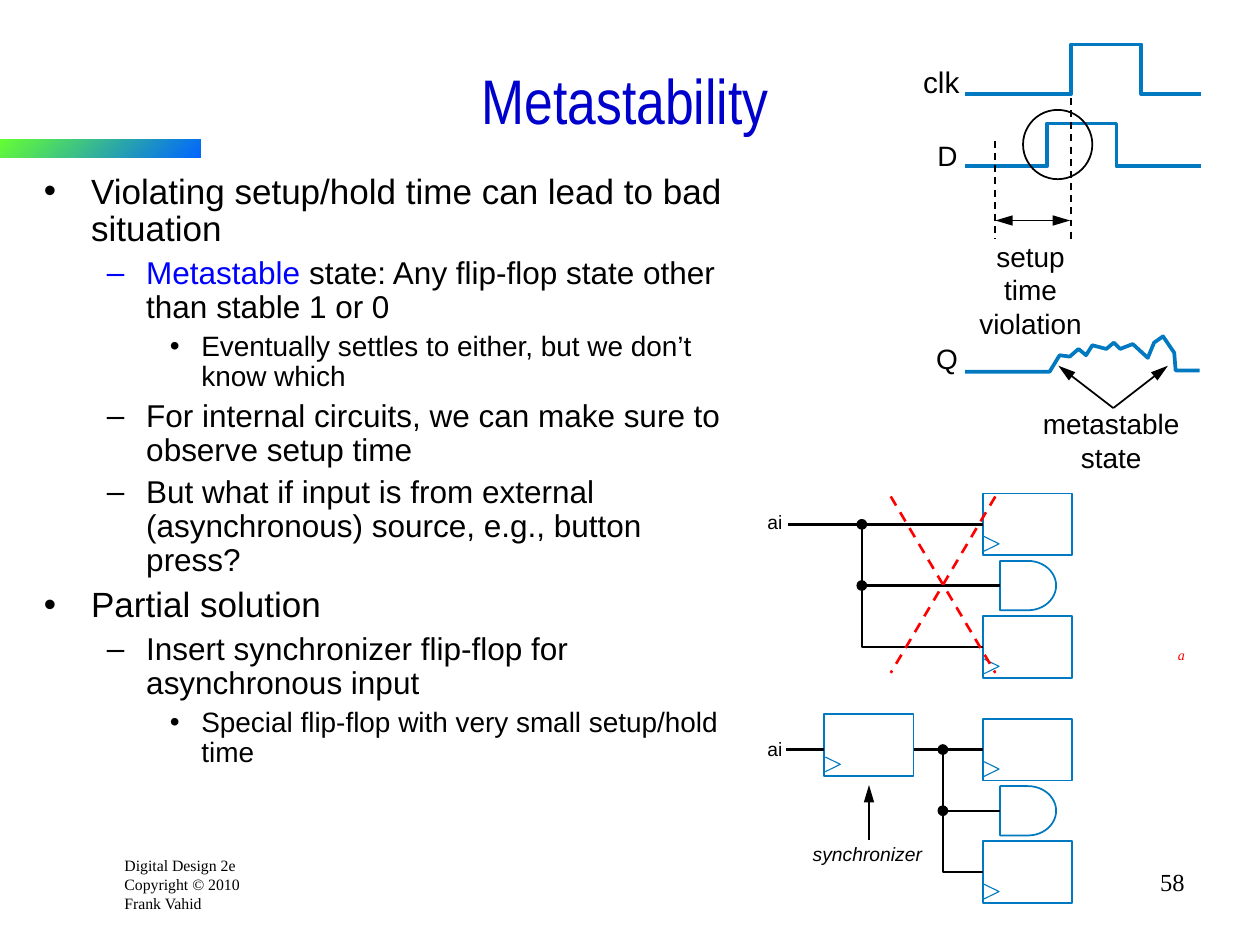
from dataclasses import dataclass

from lxml import etree
from pptx import Presentation
from pptx.dml.color import RGBColor
from pptx.enum.dml import MSO_LINE
from pptx.enum.shapes import MSO_CONNECTOR, MSO_SHAPE
from pptx.enum.text import MSO_ANCHOR, MSO_AUTO_SIZE, PP_ALIGN
from pptx.oxml.ns import qn
from pptx.util import Pt

DASH = MSO_LINE.DASH
STRAIGHT = MSO_CONNECTOR.STRAIGHT
RECTANGLE, OVAL, GATE = MSO_SHAPE.RECTANGLE, MSO_SHAPE.OVAL, MSO_SHAPE.FLOWCHART_DELAY
LEFT, CENTER, RIGHT = PP_ALIGN.LEFT, PP_ALIGN.CENTER, PP_ALIGN.RIGHT
MIDDLE = MSO_ANCHOR.MIDDLE
NO_AUTOFIT = MSO_AUTO_SIZE.NONE

BLACK, WHITE, RED, BLUE, SIGNAL = "000000", "FFFFFF", "FF0000", "0000FF", "0079C1"
SANS, SERIF = "Arial", "Times New Roman"
LEFT_SIDE = 1
WIRE = 1.39
REGISTER_WIDTH, REGISTER_HEIGHT = 51.1, 35.3
REGISTER_X, GATE_X = 561.6, 571.5
GATE_WIDTH, GATE_HEIGHT = 32, 28.2
REGISTER_PITCH, GATE_OFFSET = 70, 38.5


@dataclass
class Level:
    size: float
    margin: float
    indent: float
    before: float
    bullet: str


@dataclass
class Bullet:
    level: int
    text: str
    lead: str = ""


@dataclass
class Label:
    text: str
    left: float
    top: float
    width: float
    height: float
    size: float = 16
    font: str = SANS
    color: str = BLACK
    italic: bool = False
    align: int = LEFT
    inset: tuple = (0, 0)
    wrap: bool = False


LEVELS = [
    Level(20, 27, -27, 5, "•"),
    Level(18, 58.5, -22.5, 4.5, "–"),
    Level(16, 90, -18, 4, "•"),
]
BULLETS = [
    Bullet(0, "Violating setup/hold time can lead to bad situation"),
    Bullet(1, " state: Any flip-flop state other than stable 1 or 0", "Metastable"),
    Bullet(2, "Eventually settles to either, but we don’t know which"),
    Bullet(1, "For internal circuits, we can make sure to observe setup time"),
    Bullet(1, "But what if input is from external (asynchronous) source, e.g., button press?"),
    Bullet(0, "Partial solution"),
    Bullet(1, "Insert synchronizer flip-flop for asynchronous input"),
    Bullet(2, "Special flip-flop with very small setup/hold time"),
]
LABELS = [
    Label("Digital Design 2e\nCopyright © 2010\nFrank Vahid", 64, 485.3, 90, 39.6,
          size=9, font=SERIF, inset=(7.2, 3.6)),
    Label("58", 534.2, 491.8, 149.8, 36, size=14, font=SERIF, align=RIGHT,
          inset=(7.2, 3.6), wrap=True),
    Label("a", 666, 365.8, 18, 17.3, size=8, font=SERIF, color=RED, italic=True,
          inset=(7.2, 3.6)),
    Label("clk", 527.5, 36.3, 21.5, 20, size=17),
    Label("D", 535.7, 79.2, 11.5, 19.4),
    Label("Q", 535, 195.1, 12.2, 19.4),
    Label("setup time\nviolation", 552.2, 136.8, 73.4, 38, align=CENTER),
    Label("metastable\nstate", 595.4, 232.3, 79.2, 38, align=CENTER),
    Label("ai", 438.5, 291.6, 8.6, 13),
    Label("ai", 438.5, 421.2, 8.6, 13),
    Label("synchronizer", 464.4, 481, 64, 13, italic=True),
]
for label in LABELS[-3:]:
    label.size = 11

CLOCK = [(686, 53.8), (652.2, 53.8), (652.2, 25.4), (612, 25.4), (612, 53.8), (551.5, 53.8)]
DATA = [(686, 95), (638, 95), (638, 70.6), (598.3, 70.6), (598.3, 95), (551.5, 95)]
OUTPUT = [
    (551.5, 212.4), (599.8, 212.4), (605.5, 203), (611.3, 203.8), (616.3, 199.4),
    (620.6, 203), (624.2, 197.3), (632.2, 199.4), (636.5, 195.8), (640.1, 199.4),
    (647.3, 196.6), (655.9, 204.5), (659.5, 195.8), (664.6, 192.2), (671, 201.6),
    (671.8, 211.7), (685.5, 211.7),
]


def rgb(color: str) -> RGBColor:
    return RGBColor.from_string(color)


def write_text(paragraph, text: str, *, size: float, font: str = SANS,
               color: str = BLACK, italic: bool = False) -> None:
    run = paragraph.add_run()
    run.text = text
    run.font.size = Pt(size)
    run.font.name = font
    run.font.italic = italic
    run.font.color.rgb = rgb(color)


def add_frame(slide, left, top, width, height, inset=(7.2, 3.6), wrap=True):
    frame = slide.shapes.add_textbox(Pt(left), Pt(top), Pt(width), Pt(height)).text_frame
    frame.word_wrap = wrap
    frame.margin_left = frame.margin_right = Pt(inset[0])
    frame.margin_top = frame.margin_bottom = Pt(inset[1])
    return frame


def add_label(slide, label: Label) -> None:
    frame = add_frame(slide, label.left, label.top, label.width, label.height,
                      label.inset, label.wrap)
    for index, text in enumerate(label.text.split("\n")):
        paragraph = frame.add_paragraph() if index else frame.paragraphs[0]
        paragraph.alignment = label.align
        write_text(paragraph, text, size=label.size, font=label.font,
                   color=label.color, italic=label.italic)


def add_bullet(paragraph, bullet: Bullet) -> None:
    level = LEVELS[bullet.level]
    paragraph.level = bullet.level
    paragraph.line_spacing = 0.9
    paragraph.space_before = Pt(level.before)
    if bullet.lead:
        write_text(paragraph, bullet.lead, size=level.size, color=BLUE)
    write_text(paragraph, bullet.text, size=level.size)
    properties = paragraph._p.get_or_add_pPr()
    properties.set("marL", str(Pt(level.margin)))
    properties.set("indent", str(Pt(level.indent)))
    bullet_color = etree.SubElement(properties, qn("a:buClr"))
    etree.SubElement(bullet_color, qn("a:srgbClr"), val=BLUE if bullet.lead else BLACK)
    etree.SubElement(properties, qn("a:buFont"), typeface=SANS)
    etree.SubElement(properties, qn("a:buChar"), char=level.bullet)


def style_shape(shape, fill: str | None, line: str, width: float) -> None:
    shape.shadow.inherit = False
    if fill:
        shape.fill.solid()
        shape.fill.fore_color.rgb = rgb(fill)
    else:
        shape.fill.background()
    shape.line.color.rgb = rgb(line)
    shape.line.width = Pt(width)


def add_preset(slide, kind, left, top, width, height, *, fill=None, line=SIGNAL, weight=1.0):
    shape = slide.shapes.add_shape(kind, Pt(left), Pt(top), Pt(width), Pt(height))
    style_shape(shape, fill, line, weight)
    return shape


def add_path(slide, points: list, color: str = SIGNAL, weight: float = 2.13) -> None:
    corners = [(Pt(x), Pt(y)) for x, y in points]
    builder = slide.shapes.build_freeform(*corners[0])
    builder.add_line_segments(corners[1:], close=False)
    style_shape(builder.convert_to_shape(), None, color, weight)


def add_line(slide, start: tuple, end: tuple, *, color: str = BLACK, weight: float = 1.0,
             dashed: bool = False, heads: tuple = ()):
    connector = slide.shapes.add_connector(STRAIGHT, *(Pt(value) for value in start + end))
    connector.line.color.rgb = rgb(color)
    connector.line.width = Pt(weight)
    if dashed:
        connector.line.dash_style = DASH
    outline = connector.line._get_or_add_ln()
    for head in heads:
        etree.SubElement(outline, qn(f"a:{head}"), type="triangle", w="med", len="lg")
    etree.SubElement(connector._element.spPr, qn("a:effectLst"))
    return connector


def add_register(slide, left: float, top: float):
    register = add_preset(slide, RECTANGLE, left, top, REGISTER_WIDTH, REGISTER_HEIGHT)
    clock_input = [(left + 0.7, top + 33), (left + 9.3, top + 28.8), (left + 0.7, top + 24.6)]
    add_path(slide, clock_input, weight=0.62)
    return register


def add_fanout(slide, top: float, trunk: float, source: float) -> None:
    wire_y = top + REGISTER_HEIGHT / 2
    gate_y = top + GATE_OFFSET + GATE_HEIGHT / 2
    last_y = wire_y + REGISTER_PITCH
    register = add_register(slide, REGISTER_X, top)
    gate = add_preset(slide, GATE, GATE_X, top + GATE_OFFSET, GATE_WIDTH, GATE_HEIGHT, fill=WHITE)
    add_register(slide, REGISTER_X, top + REGISTER_PITCH)
    for start, end, target in (((source, wire_y), (REGISTER_X, wire_y), register),
                               ((trunk, gate_y), (GATE_X, gate_y), gate)):
        add_line(slide, start, end, weight=WIRE).end_connect(target, LEFT_SIDE)
        add_preset(slide, OVAL, trunk - 2.75, end[1] - 2.75, 5.5, 5.5,
                   fill=BLACK, line=BLACK, weight=0.62)
    add_path(slide, [(REGISTER_X, last_y), (trunk, last_y), (trunk, wire_y)], BLACK, WIRE)


def add_title(slide, text: str) -> None:
    title = slide.shapes.title
    title.left, title.top, title.width, title.height = Pt(18), Pt(23.8), Pt(678.2), Pt(66.2)
    frame = title.text_frame
    frame.auto_size = NO_AUTOFIT
    frame.vertical_anchor = MIDDLE
    frame.paragraphs[0].alignment = CENTER
    write_text(frame.paragraphs[0], text, size=36, font="Arial Narrow", color="0000CC")


def add_accent_bar(slide) -> None:
    bar = add_preset(slide, RECTANGLE, 0, 79.5, 114.5, 10.5)
    bar.line.fill.background()
    bar.fill.gradient()
    bar.fill.gradient_angle = 315
    for stop, color in zip(bar.fill.gradient_stops, ("66FF33", "0066FF")):
        stop.color.rgb = rgb(color)


def add_timing(slide) -> None:
    for wave in (CLOCK, DATA, OUTPUT):
        add_path(slide, wave)
    for x, top in ((612, 56), (568.8, 80.6)):
        add_line(slide, (x, top), (x, 136.8), dashed=True)
    add_preset(slide, OVAL, 584.6, 62.8, 39.6, 39.6, line=BLACK)
    add_line(slide, (568.8, 126), (611.5, 126), heads=("headEnd", "tailEnd"))
    for x in (604.8, 667.4):
        add_line(slide, (636.2, 233.2), (x, 209), heads=("tailEnd",))


def add_circuits(slide) -> None:
    add_fanout(slide, top=282, trunk=492.5, source=450)
    for start_x, end_x in ((568.8, 509), (509, 568.8)):
        add_line(slide, (start_x, 283.7), (end_x, 384.5), color=RED, weight=1.5, dashed=True)
    add_register(slide, 470.9, 408)
    add_line(slide, (449.3, 428.4), (470.9, 428.4), weight=WIRE)
    add_fanout(slide, top=410.7, trunk=538.8, source=522)
    add_line(slide, (496.6, 480.2), (496.6, 448.6), weight=WIRE, heads=("tailEnd",))


def main() -> None:
    presentation = Presentation()
    presentation.slide_width, presentation.slide_height = Pt(720), Pt(540)
    slide = presentation.slides.add_slide(presentation.slide_layouts[5])
    add_accent_bar(slide)
    add_title(slide, "Metastability")
    body = add_frame(slide, 18, 95.8, 408.2, 365.8)
    for index, bullet in enumerate(BULLETS):
        add_bullet(body.add_paragraph() if index else body.paragraphs[0], bullet)
    add_timing(slide)
    add_circuits(slide)
    for label in LABELS:
        add_label(slide, label)
    presentation.save("out.pptx")


if __name__ == "__main__":
    main()
